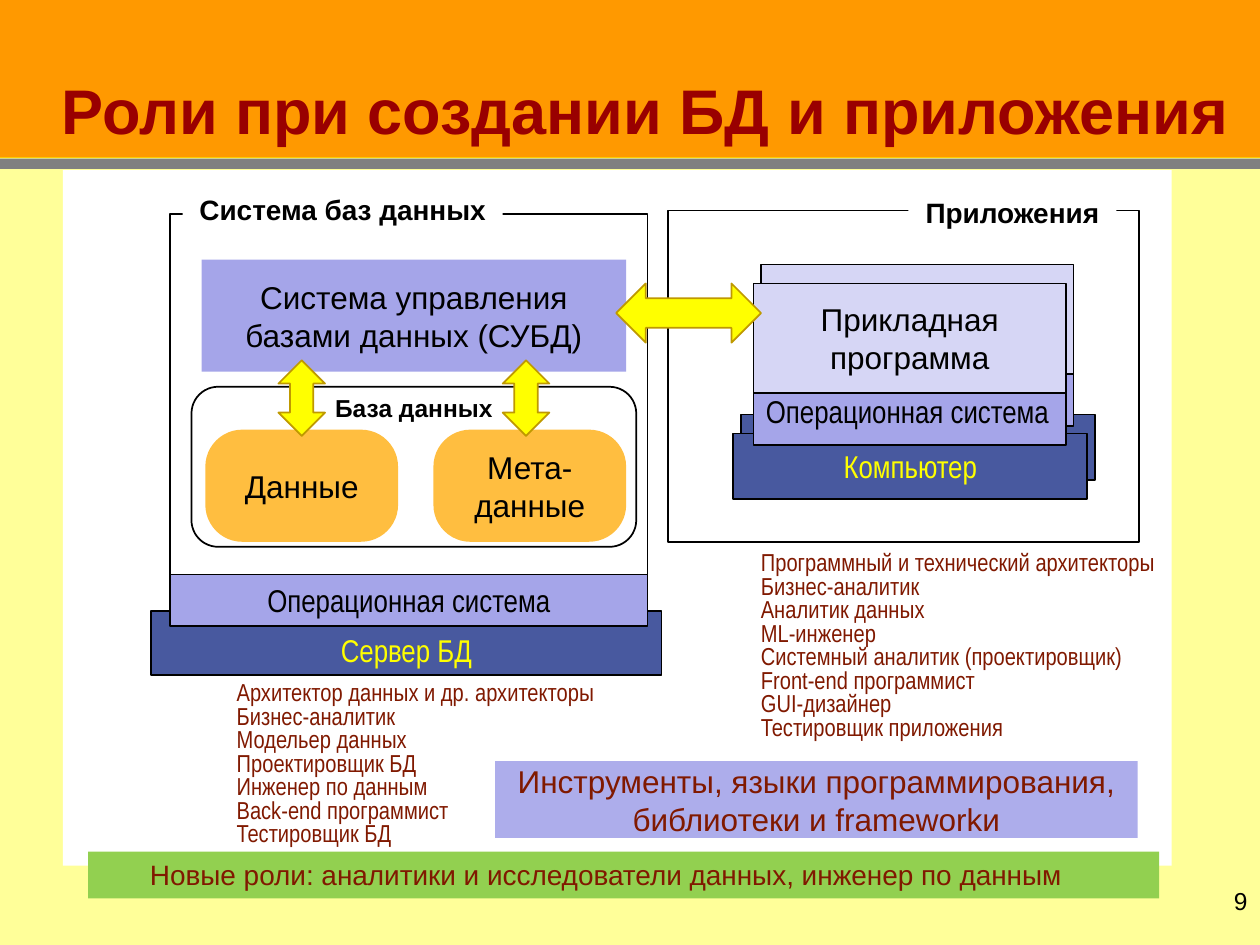
from pptx import Presentation
from pptx.dml.color import RGBColor
from pptx.enum.shapes import MSO_CONNECTOR, MSO_SHAPE
from pptx.enum.text import MSO_ANCHOR, PP_ALIGN
from pptx.util import Inches, Pt
from lxml import etree

RECT, ROUND = MSO_SHAPE.RECTANGLE, MSO_SHAPE.ROUNDED_RECTANGLE
UP_DOWN, LEFT_RIGHT = MSO_SHAPE.UP_DOWN_ARROW, MSO_SHAPE.LEFT_RIGHT_ARROW
LEFT, CENTER, RIGHT = PP_ALIGN.LEFT, PP_ALIGN.CENTER, PP_ALIGN.RIGHT
TOP, MIDDLE, BOTTOM = MSO_ANCHOR.TOP, MSO_ANCHOR.MIDDLE, MSO_ANCHOR.BOTTOM
STRAIGHT = MSO_CONNECTOR.STRAIGHT

THEME = {
    "orange": "FF9900", "cream": "FFFF99", "gray": "808080", "gold": "FFCC00",
    "white": "FFFFFF", "black": "000000", "title": "990000", "role": "801900",
    "lilac": "A5A5E9", "tools": "ADADEB", "pale": "D6D6F5", "navy": "48599F",
    "amber": "FFBE40", "green": "92D050", "yellow": "FFFF00", "arrow_edge": "BF9900",
    "sans": "Arial", "narrow": "Arial Narrow",
    "title_size": 36, "body_size": 18, "label_size": 16, "small_size": 14,
}

TITLE = "Роли при создании БД и приложения"
PAGE_NUMBER = "9"
DBMS = "Система управления базами данных (СУБД)"
STORES = ["Данные", "Мета-данные"]
OS = "Операционная система"
SERVER = "Сервер БД"
TOOLS = "Инструменты, языки программирования, библиотеки и frameworkи"
NEW_ROLES = "Новые роли: аналитики и исследователи данных, инженер по данным"
APP_ROLES = [
    "Программный и технический архитекторы", "Бизнес-аналитик", "Аналитик данных",
    "ML-инженер", "Системный аналитик (проектировщик)", "Front-end программист",
    "GUI-дизайнер", "Тестировщик приложения",
]
DB_ROLES = [
    "Архитектор данных и др. архитекторы", "Бизнес-аналитик", "Модельер данных",
    "Проектировщик БД", "Инженер по данным", "Back-end программист", "Тестировщик БД",
]
BANDS = [
    ((0, 0, 10, 1.25), "orange"),
    ((0, 1.25, 10, 6.25), "cream"),
    ((0, 1.26, 10, 0.08), "gray"),
]
WORKSTATION = [
    ("Компьютер", (5.82, 3.44, 2.81, 0.52), "navy", "narrow", "yellow", CENTER, MIDDLE),
    (OS, (5.98, 3.06, 2.48, 0.47), "lilac", "narrow", "black", LEFT, TOP),
    ("Прикладная программа", (5.98, 2.25, 2.48, 0.87), "pale", "sans", "black", CENTER, MIDDLE),
]
BACK_SHIFT = (0.06, -0.15)


def color(name):
    return RGBColor.from_string(THEME[name])


def write(holder, lines, size="body_size", font="sans", ink="black", bold=False,
          align=CENTER, anchor=MIDDLE, spacing=None):
    frame = holder.text_frame
    frame.word_wrap = True
    frame.vertical_anchor = anchor
    frame.text = "\n".join(lines)
    for paragraph in frame.paragraphs:
        paragraph.alignment = align
        if spacing:
            paragraph.line_spacing = spacing
        for run in paragraph.runs:
            run.font.size = Pt(THEME[size])
            run.font.name = THEME[font]
            run.font.bold = bold
            run.font.color.rgb = color(ink)


def draw(slide, box, fill=None, line=None, kind=RECT, text=None, **style):
    shape = slide.shapes.add_shape(kind, *map(Inches, box))
    shape.shadow.inherit = False
    if fill:
        shape.fill.solid()
        shape.fill.fore_color.rgb = color(fill)
    else:
        shape.fill.background()
    if line:
        shape.line.color.rgb = color(line)
        shape.line.width = Pt(1)
    else:
        shape.line.fill.background()
    if text:
        write(shape, [text], **style)
    return shape


def add_text(slide, box, lines, **style):
    write(slide.shapes.add_textbox(*map(Inches, box)), lines, **style)


def add_background(slide):
    for box, fill in BANDS:
        draw(slide, box, fill)
    rule = slide.shapes.add_connector(STRAIGHT, 0, Inches(1.25), Inches(10), Inches(1.25))
    rule.line.color.rgb = color("gold")
    rule.line.width = Pt(1)
    properties = rule._element.spPr
    namespace = properties.nsmap["a"]
    etree.SubElement(properties, f"{{{namespace}}}effectLst")
    draw(slide, (0.5, 1.35, 8.8, 5.52), "white")


def add_title(slide):
    title = slide.shapes.title
    title.left, title.top, title.width, title.height = map(Inches, (0, 0.06, 10, 1.17))
    title.fill.solid()
    title.fill.fore_color.rgb = color("orange")
    write(title, [TITLE], "title_size", ink="title", bold=True, align=LEFT,
          anchor=BOTTOM, spacing=0.9)
    title.text_frame.margin_left = Inches(0.49)
    slide.shapes._spTree.append(title._element)


def add_database(slide):
    heading = {"size": "label_size", "bold": True, "anchor": TOP}
    draw(slide, (1.6, 2.06, 3.37, 0.89), "lilac", text=DBMS)
    for index, store in enumerate(STORES):
        shape = draw(slide, (1.63 + 1.81 * index, 3.41, 1.53, 0.89), "amber",
                     kind=ROUND, text=store)
        shape.adjustments[0] = 0.33
    draw(slide, (1.35, 1.7, 3.79, 3.13), line="black")
    draw(slide, (1.45, 1.48, 2.54, 0.37), "white", text="Система баз данных", **heading)
    draw(slide, (1.2, 4.85, 4.05, 0.51), "navy", "black", text=SERVER,
         font="narrow", ink="yellow", anchor=BOTTOM)
    draw(slide, (1.35, 4.56, 3.79, 0.41), "lilac", "black", text=OS, font="narrow", anchor=TOP)
    draw(slide, (1.52, 3.07, 3.53, 1.27), line="black", kind=ROUND)
    for index in range(len(STORES)):
        draw(slide, (2.21 + 1.78 * index, 2.86, 0.37, 0.6), "yellow", "arrow_edge", UP_DOWN)
    add_text(slide, (2.43, 3.07, 1.71, 0.34), ["База данных"], size="small_size",
             bold=True, anchor=TOP)


def add_applications(slide):
    dx, dy = BACK_SHIFT
    for _, (left, top, width, height), fill, *_ in WORKSTATION:
        draw(slide, (left + dx, top + dy, width, height), fill, "black")
    for text, box, fill, font, ink, align, anchor in WORKSTATION:
        draw(slide, box, fill, "black", text=text, font=font, ink=ink,
             align=align, anchor=anchor)
    draw(slide, (5.3, 1.67, 3.74, 2.63), line="black")
    draw(slide, (4.89, 2.25, 1.15, 0.47), "yellow", "arrow_edge", LEFT_RIGHT)
    draw(slide, (7.21, 1.5, 1.65, 0.37), "white", text="Приложения",
         size="label_size", bold=True, anchor=TOP)


def add_roles(slide):
    roles = {"size": "small_size", "font": "narrow", "ink": "role",
             "align": LEFT, "anchor": TOP, "spacing": 0.8}
    add_text(slide, (5.94, 4.34, 3.51, 1.61), APP_ROLES, **roles)
    add_text(slide, (1.78, 5.37, 3.17, 1.42), DB_ROLES, **roles)
    draw(slide, (3.93, 6.04, 5.1, 0.61), "tools", text=TOOLS, ink="role")
    banner = draw(slide, (0.7, 6.76, 8.5, 0.37), "green", text=NEW_ROLES,
                  size="label_size", ink="role", align=LEFT, anchor=TOP)
    banner.text_frame.margin_left = Inches(0.49)


def main():
    deck = Presentation()
    deck.slide_width, deck.slide_height = Inches(10), Inches(7.5)
    slide = deck.slides.add_slide(deck.slide_layouts[5])
    add_background(slide)
    add_title(slide)
    add_text(slide, (8.97, 6.98, 1.03, 0.52), [PAGE_NUMBER], size="small_size",
             align=RIGHT, anchor=TOP)
    add_database(slide)
    add_applications(slide)
    add_roles(slide)
    deck.save("out.pptx")


if __name__ == "__main__":
    main()
